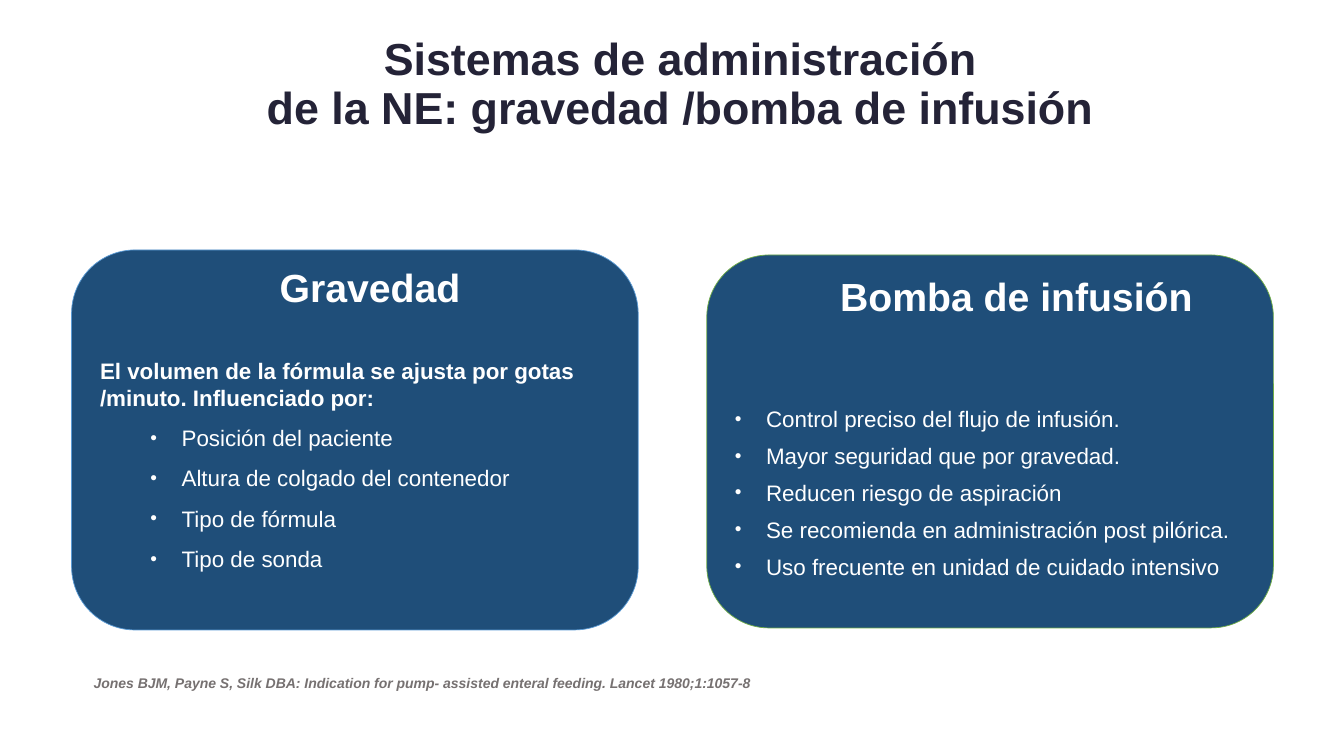
from dataclasses import dataclass
from typing import Any

from lxml import etree
from pptx import Presentation
from pptx.dml.color import RGBColor
from pptx.enum.shapes import MSO_SHAPE
from pptx.enum.text import MSO_ANCHOR, PP_ALIGN
from pptx.oxml.ns import qn
from pptx.util import Emu, Pt

EMU_PER_PX = 9144
ROUNDED = MSO_SHAPE.ROUNDED_RECTANGLE
TOP, MIDDLE = MSO_ANCHOR.TOP, MSO_ANCHOR.MIDDLE
LEFT, CENTER = PP_ALIGN.LEFT, PP_ALIGN.CENTER
COLORS = {
    "title": "242337",
    "panel": "1F4E79",
    "gravity_edge": "5B9BD5",
    "pump_edge": "70AD47",
    "white": "FFFFFF",
    "citation": "767171",
}
FONTS: dict[str, dict[str, Any]] = {
    "title": {"size": Pt(32), "bold": True},
    "heading": {"size": Pt(28), "bold": True},
    "lead": {"size": Pt(16), "bold": True},
    "item": {"size": Pt(16), "bold": False},
    "citation": {"size": Pt(10), "bold": True, "italic": True},
}


@dataclass(frozen=True)
class Box:
    left: int
    top: int
    width: int
    height: int

    def emu(self) -> tuple[Emu, ...]:
        return tuple(px(n) for n in (self.left, self.top, self.width, self.height))


@dataclass(frozen=True)
class Label:
    box: Box
    text: str
    font: str
    color: str
    paragraph: dict[str, Any]
    anchor: Any = TOP


@dataclass(frozen=True)
class Panel:
    box: Box
    edge: str
    inset_top: int
    lead: str
    items: tuple[str, ...]
    item_left: int
    spacing: dict[str, Any]


def px(length: int) -> Emu:
    return Emu(length * EMU_PER_PX)


def rgb(name: str) -> RGBColor:
    return RGBColor.from_string(COLORS[name])


def apply(target: Any, values: dict[str, Any]) -> None:
    for name, value in values.items():
        setattr(target, name, value)


def write(paragraph: Any, text: str, font: str, color: str) -> None:
    paragraph.text = text
    apply(paragraph.font, {"name": "Arial", **FONTS[font]})
    paragraph.font.color.rgb = rgb(color)


def add_bullet(paragraph: Any, left: int) -> None:
    properties = paragraph._p.get_or_add_pPr()
    properties.set("marL", str(px(left)))
    properties.set("indent", str(px(-31)))
    etree.SubElement(properties, qn("a:buSzPct")).set("val", "85000")
    etree.SubElement(properties, qn("a:buFont")).set("typeface", "Arial")
    etree.SubElement(properties, qn("a:buChar")).set("char", "•")


def draw_label(slide: Any, label: Label) -> None:
    frame = slide.shapes.add_textbox(*label.box.emu()).text_frame
    apply(frame, {"word_wrap": True, "vertical_anchor": label.anchor})
    paragraph = frame.paragraphs[0]
    write(paragraph, label.text, label.font, label.color)
    apply(paragraph, label.paragraph)


def draw_panel(slide: Any, panel: Panel) -> None:
    card = slide.shapes.add_shape(ROUNDED, *panel.box.emu())
    card.shadow.inherit = False
    card.fill.solid()
    card.fill.fore_color.rgb = rgb("panel")
    card.line.color.rgb = rgb(panel.edge)
    card.line.width = Pt(0.5)
    frame = card.text_frame
    apply(frame, {"word_wrap": True, "vertical_anchor": TOP,
                  "margin_top": px(panel.inset_top)})
    lines = ((panel.lead,) if panel.lead else ()) + panel.items
    for index, line in enumerate(lines):
        paragraph = frame.add_paragraph() if index else frame.paragraphs[0]
        is_item = line != panel.lead
        if is_item:
            add_bullet(paragraph, panel.item_left)
        write(paragraph, line, "item" if is_item else "lead", "white")
        paragraph.alignment = LEFT
        if index:
            apply(paragraph, panel.spacing)


PANELS = (
    Panel(
        Box(71, 248, 562, 377), "gravity_edge", 88,
        "El volumen de la fórmula se ajusta por gotas /minuto. Influenciado por:",
        ("Posición del paciente", "Altura de colgado del contenedor",
         "Tipo de fórmula", "Tipo de sonda"),
        81, {"line_spacing": 1.5},
    ),
    Panel(
        Box(701, 253, 562, 370), "pump_edge", 131, "",
        ("Control preciso del flujo de infusión.",
         "Mayor seguridad que por gravedad.",
         "Reducen riesgo de aspiración",
         "Se recomienda en administración post pilórica.",
         "Uso frecuente en unidad de cuidado intensivo"),
        31, {"space_before": Pt(7.2)},
    ),
)
LABELS = (
    Label(Box(75, 25, 1200, 120),
          "Sistemas de administración\vde la NE: gravedad /bomba de infusión",
          "title", "title", {"alignment": CENTER, "line_spacing": 0.9}, MIDDLE),
    Label(Box(65, 256, 604, 57), "Gravedad", "heading", "white",
          {"alignment": CENTER}),
    Label(Box(682, 265, 652, 57), "Bomba de infusión", "heading", "white",
          {"alignment": CENTER}),
    Label(Box(83, 664, 1197, 44),
          "Jones BJM, Payne S, Silk DBA: Indication for pump- assisted enteral "
          "feeding. Lancet 1980;1:1057-8",
          "citation", "citation", {"alignment": LEFT}),
)


def main() -> None:
    deck = Presentation()
    apply(deck, {"slide_width": px(1333), "slide_height": px(750)})
    slide = deck.slides.add_slide(deck.slide_layouts[6])
    for panel in PANELS:
        draw_panel(slide, panel)
    for label in LABELS:
        draw_label(slide, label)
    deck.save("out.pptx")


if __name__ == "__main__":
    main()
